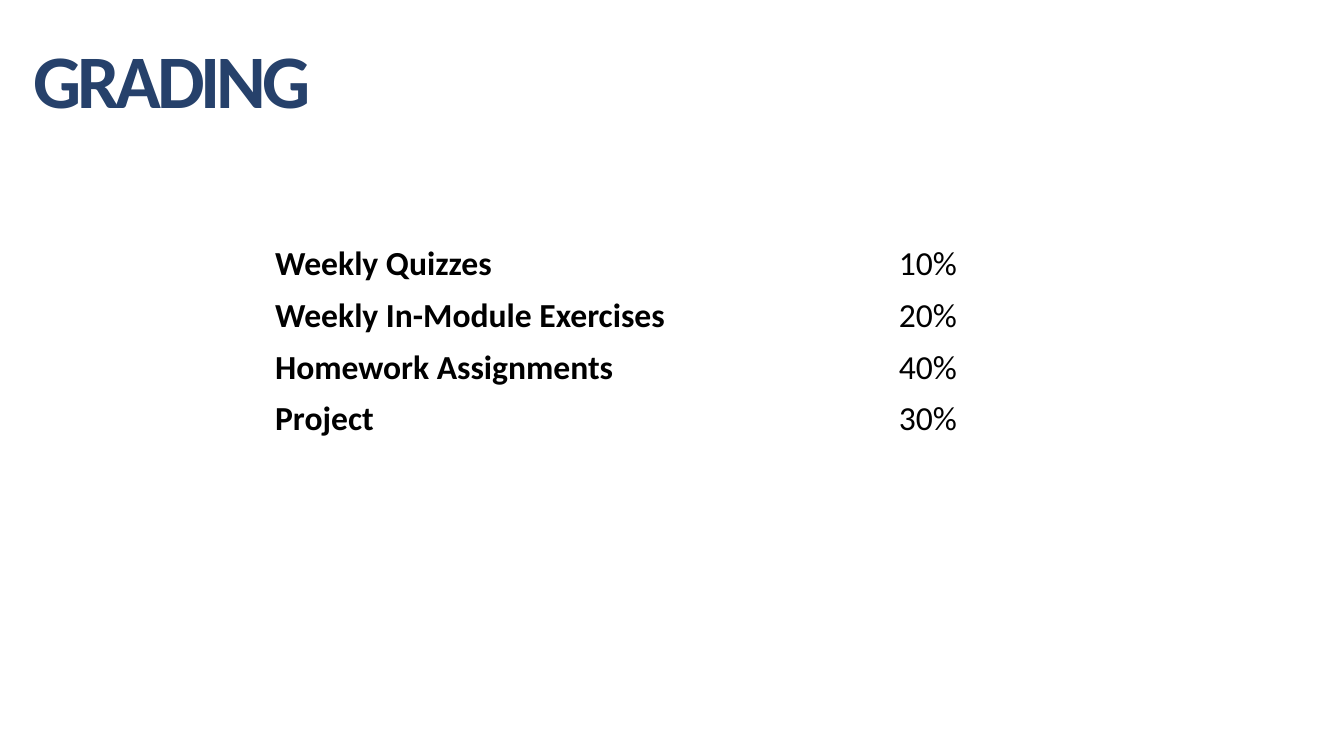
from dataclasses import dataclass

from pptx import Presentation
from pptx import util as u
from pptx.dml import color
from pptx.enum import text


@dataclass(frozen=True)
class Theme:
    font: str = "Calibri"
    title_color: str = "26416B"
    body_color: str = "000000"
    background: str = "FFFFFF"
    title_size: float = 54
    body_size: float = 24
    title_tracking: float = -3


@dataclass(frozen=True)
class GradeItem:
    name: str
    weight: int


THEME = Theme()
GRADES = [
    GradeItem("Weekly Quizzes", 10),
    GradeItem("Weekly In-Module Exercises", 20),
    GradeItem("Homework Assignments", 40),
    GradeItem("Project", 30),
]
COLUMN_WIDTHS = (331, 166)
ROW_HEIGHT = 36.9


def set_attrs(target, values: dict) -> None:
    for name, value in values.items():
        setattr(target, name, value)


def write(tf, content: str, size: float, rgb: str, bold: bool, align):
    p = tf.paragraphs[0]
    p.alignment = align
    r = p.add_run()
    r.text = content
    set_attrs(r.font, {"name": THEME.font, "size": u.Pt(size), "bold": bold})
    r.font.color.rgb = color.RGBColor.from_string(rgb)
    return r


def add_title(s, content: str) -> None:
    tf = s.shapes.add_textbox(u.Pt(16.6), u.Pt(16.6), u.Pt(925), u.Pt(90.7)).text_frame
    set_attrs(tf, {"word_wrap": True, "vertical_anchor": text.MSO_ANCHOR.MIDDLE})
    r = write(tf, content, THEME.title_size, THEME.title_color, True, text.PP_ALIGN.LEFT)
    tf.paragraphs[0].line_spacing = 0.8
    # Letter spacing is stored in hundredths of a point
    r.font._element.set("spc", str(int(THEME.title_tracking * 100)))


def add_grades(s, items: list[GradeItem]) -> None:
    table = s.shapes.add_table(
        len(items), len(COLUMN_WIDTHS), u.Pt(191.5), u.Pt(174.2),
        u.Pt(sum(COLUMN_WIDTHS)), u.Pt(ROW_HEIGHT * len(items))).table
    set_attrs(table, {"first_row": False, "horz_banding": False})
    # Plain style: no borders, no grid
    table._tbl.tblPr[0].text = "{2D5ABB26-0587-4C30-8999-92F81FD0307C}"
    for column, width in zip(table.columns, COLUMN_WIDTHS):
        column.width = u.Pt(width)
    for row, item in zip(table.rows, items):
        row.height = u.Pt(ROW_HEIGHT)
        entries = ((item.name, True, text.PP_ALIGN.LEFT),
                   (f"{item.weight}%", False, text.PP_ALIGN.RIGHT))
        for cell, (content, bold, align) in zip(row.cells, entries):
            cell.fill.background()
            set_attrs(cell, {"margin_left": u.Pt(5), "margin_right": u.Pt(5),
                             "margin_top": 0, "margin_bottom": 0})
            write(cell.text_frame, content, THEME.body_size, THEME.body_color, bold, align)


def main() -> None:
    prs = Presentation()
    set_attrs(prs, {"slide_width": u.Pt(960), "slide_height": u.Pt(540)})
    s = prs.slides.add_slide(prs.slide_layouts[6])

    # Background
    fill = s.background.fill
    fill.solid()
    fill.fore_color.rgb = color.RGBColor.from_string(THEME.background)

    # Title and grade weights
    add_title(s, "GRADING")
    add_grades(s, GRADES)
    prs.save("out.pptx")


if __name__ == "__main__":
    main()
